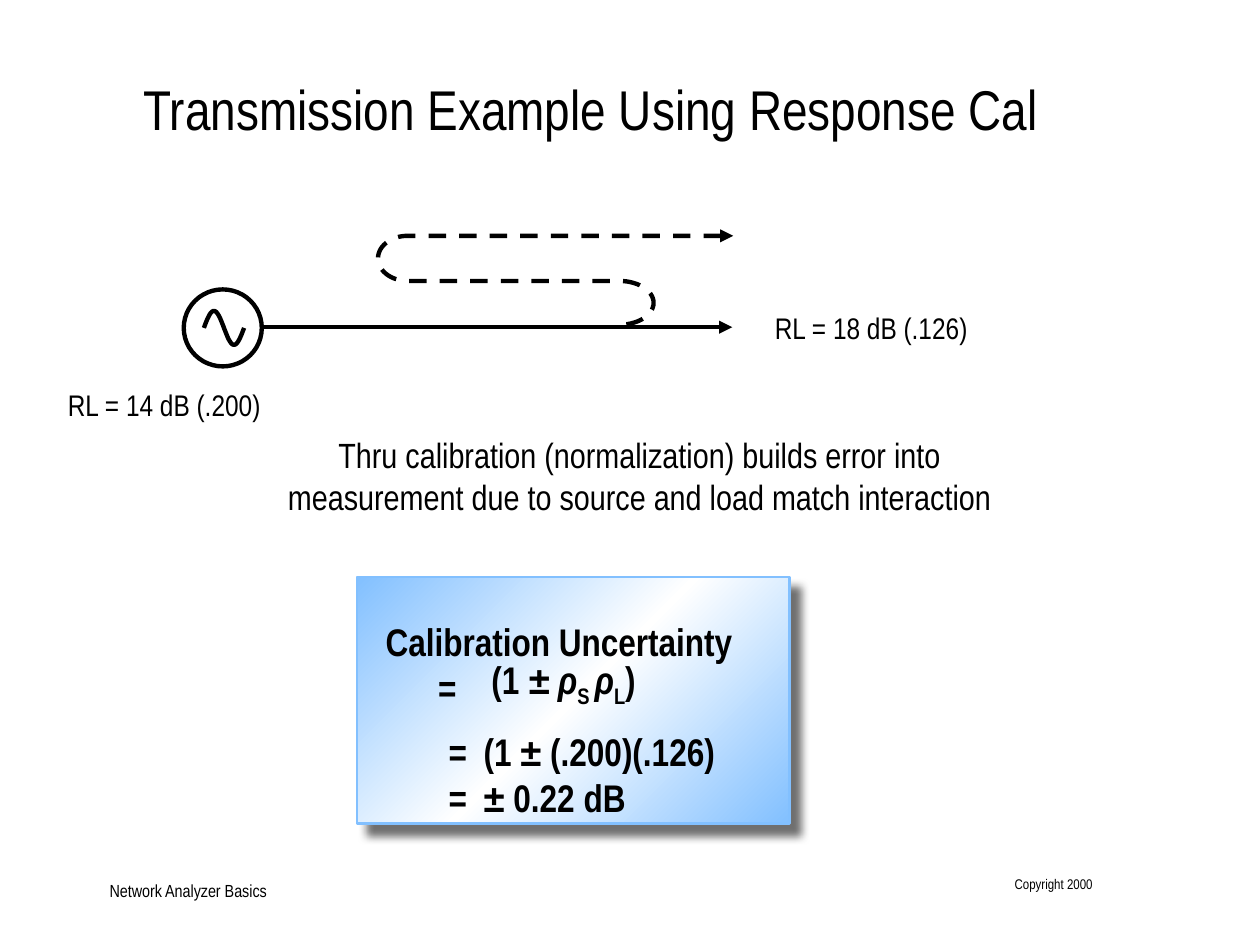
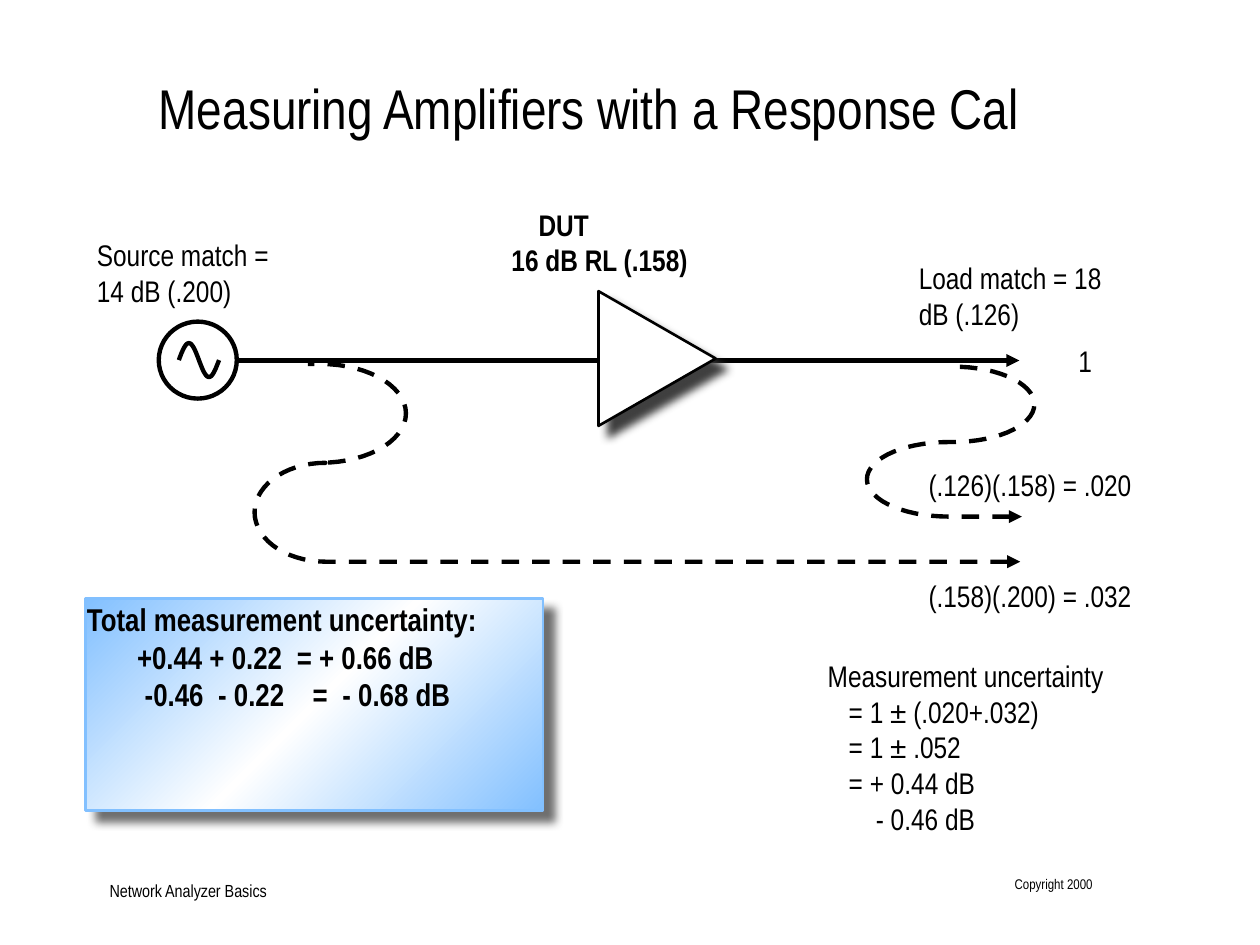
import copy
import math

import pptx
import pptx.util
import pptx.dml.color
import pptx.enum.dml
import pptx.enum.shapes
import pptx.enum.text
import pptx.oxml
import pptx.oxml.ns

Pt = pptx.util.Pt
qn = pptx.oxml.ns.qn
ALIGN = pptx.enum.text.PP_ALIGN
ANCHOR = pptx.enum.text.MSO_ANCHOR
SHAPE = pptx.enum.shapes.MSO_SHAPE

COLORS = {"ink": "000000", "paper": "FFFFFF", "panel": "82C0FF", "shadow": "404040"}
FONT = "Arial Narrow"
LABEL = 17
STROKE = 2.5


def rgb(name):
    return pptx.dml.color.RGBColor.from_string(COLORS[name])


def add_xml(parent, tag, **attrs):
    child = parent.makeelement(qn(tag), {k: str(v) for k, v in attrs.items()})
    parent.append(child)
    return child


# Text
def add_run(p, text, fmt, baseline=0):
    r = p.add_run()
    r.text = text
    for name, value in fmt.items():
        setattr(r.font, name, value)
    r.font.color.rgb = rgb("ink")
    if baseline:
        r._r.get_or_add_rPr().set("baseline", str(baseline * 1000))


def fill_frame(sp, paras, size, bold=False, align=ALIGN.LEFT, anchor=ANCHOR.TOP):
    """Each paragraph is (runs, indent, tab stops); a run is (text, format, baseline)."""
    tf = sp.text_frame
    frame = {"word_wrap": True, "auto_size": pptx.enum.text.MSO_AUTO_SIZE.NONE,
             "vertical_anchor": anchor, "margin_left": 0, "margin_right": 0,
             "margin_top": 0, "margin_bottom": 0}
    for name, value in frame.items():
        setattr(tf, name, value)
    base = {"name": FONT, "size": Pt(size), "bold": bold}
    for i, para in enumerate(paras):
        runs, indent, stops = para if isinstance(para, tuple) else (para, 0, ())
        p = tf.paragraphs[0] if i == 0 else tf.add_paragraph()
        p.alignment = align
        pPr = p._p.get_or_add_pPr()
        if indent:
            pPr.set("marL", str(Pt(indent)))
        if stops:
            tabs = add_xml(pPr, "a:tabLst")
            for stop in stops:
                add_xml(tabs, "a:tab", pos=Pt(stop), algn="l")
        for text, fmt, baseline in [(runs, {}, 0)] if isinstance(runs, str) else runs:
            add_run(p, text, base | fmt, baseline)


def add_text(s, box, paras, size=LABEL, **fmt):
    fill_frame(s.shapes.add_textbox(*map(Pt, box)), paras, size, **fmt)


# Lines, fills and shadows
def style_outline(sp, width, color="ink", arrow=None, dashed=False, shadow_alpha=0):
    sp.line.width = Pt(width)
    sp.line.color.rgb = rgb(color)
    if dashed:
        sp.line.dash_style = pptx.enum.dml.MSO_LINE.DASH
    if arrow:
        add_xml(sp.line._get_or_add_ln(), arrow, type="triangle")
    effects = add_xml(sp._element.spPr, "a:effectLst")
    if shadow_alpha:
        shadow = add_xml(effects, "a:outerShdw", blurRad=Pt(5), dist=Pt(8.5),
                         dir=45 * 60000, algn="ctr", rotWithShape=0)
        clr = add_xml(shadow, "a:srgbClr", val=COLORS["shadow"])
        add_xml(clr, "a:alpha", val=shadow_alpha * 1000)


def fill_solid(sp, color):
    sp.fill.solid()
    sp.fill.fore_color.rgb = rgb(color)


def add_panel(s, box):
    sp = s.shapes.add_shape(SHAPE.RECTANGLE, *map(Pt, box))
    sp.fill.gradient()
    sp.fill.gradient_angle = 315
    first = next(sp._element.spPr.iter(qn("a:gs")))
    middle = copy.deepcopy(first)
    middle.set("pos", "50000")
    first.addnext(middle)
    for stop, color in zip(sp.fill.gradient_stops, ("panel", "paper", "panel")):
        stop.color.rgb = rgb(color)
    style_outline(sp, 1.5, "panel", shadow_alpha=75)


def add_outline(shapes, points, close=False):
    points = [(Pt(x), Pt(y)) for x, y in points]
    fb = shapes.build_freeform(*points[0], scale=1.0)
    fb.add_line_segments(points[1:], close=close)
    sp = fb.convert_to_shape()
    sp.fill.background()
    return sp


# Circuit elements
def add_signal(s, x1, x2, y):
    cn = s.shapes.add_connector(pptx.enum.shapes.MSO_CONNECTOR.STRAIGHT,
                                Pt(x1), Pt(y), Pt(x2), Pt(y))
    style_outline(cn, STROKE, arrow="a:tailEnd")


def add_source(s, left, top):
    shapes = s.shapes.add_group_shape().shapes
    circle = shapes.add_shape(SHAPE.OVAL, Pt(left), Pt(top), Pt(44.6), Pt(44))
    fill_solid(circle, "paper")
    style_outline(circle, STROKE)
    wave = [(left + 11.5 + 23 * i / 40, top + 22 - 9.7 * math.sin(math.tau * i / 40))
            for i in range(41)]
    style_outline(add_outline(shapes, wave), STROKE)


def half_turn(x, y1, y2, bulge, steps=30):
    angles = [math.pi * i / steps for i in range(steps + 1)]
    return [(x + bulge * math.sin(a), (y1 + y2) / 2 + (y1 - y2) / 2 * math.cos(a))
            for a in angles]


def add_reflection(s, tip_x, end_x, levels, turns):
    """Dashed path from the arrow tip back to the signal; a turn is (x, bulge)."""
    points = [(tip_x, levels[0])]
    for (x, bulge), y1, y2 in zip(turns, levels, levels[1:]):
        points += half_turn(x, y1, y2, bulge)
    points.append((end_x, levels[-1]))
    style_outline(add_outline(s.shapes, points), STROKE, arrow="a:headEnd", dashed=True)


def add_amplifier(s, left, top, width, height):
    corners = [(left, top + height), (left + width, top + height / 2), (left, top)]
    sp = add_outline(s.shapes, corners, close=True)
    fill_solid(sp, "paper")
    style_outline(sp, 1.5, shadow_alpha=100)


# Slides
def add_slide(prs, title, left, top):
    s = prs.slides.add_slide(prs.slide_layouts[5])
    sp = s.shapes.title
    for name, value in {"left": left, "top": top, "width": 620, "height": 37}.items():
        setattr(sp, name, Pt(value))
    fill_frame(sp, [title], 32)
    add_text(s, (62.6, 502, 192, 13), ["Network Analyzer Basics"], 10, anchor=ANCHOR.BOTTOM)
    add_text(s, (574, 500.4, 50.5, 18), ["Copyright 2000"], 8, align=ALIGN.RIGHT)
    return s


def build_transmission(prs):
    s = add_slide(prs, "Transmission Example Using Response Cal", 82, 42.5)
    # Source, through signal and double reflection
    add_signal(s, 148.5, 418.5, 187)
    add_source(s, 105, 165.4)
    add_reflection(s, 419, 354, (134.8, 160.6, 185.6), [(233, -17), (354, 19.5)])
    add_text(s, (38.8, 221, 149, 22), ["RL = 14 dB (.200)"])
    add_text(s, (442.8, 177, 149, 22), ["RL = 18 dB (.126)"])
    add_text(s, (146, 247.8, 439, 60),
             ["Thru calibration (normalization) builds error into measurement"
              " due to source and load match interaction"], 20, align=ALIGN.CENTER)
    # Uncertainty panel
    add_panel(s, (204, 329.8, 247, 141))
    result = {"size": 22, "bold": True}
    add_text(s, (220.3, 339, 209, 67), ["Calibration Uncertainty", ("=", 30, ())],
             anchor=ANCHOR.BOTTOM, **result)
    italic = {"italic": True}
    product = [("(1", {}, 0), (" ± ρ", italic, 0), ("S ", {}, -25),
               ("ρ", italic, 0), ("L", {}, -25), (")", {}, 0)]
    add_text(s, (280.8, 372.2, 138, 33), [product], anchor=ANCHOR.BOTTOM, **result)
    add_text(s, (256.3, 416.2, 206, 56),
             [("=\t(1 ± (.200)(.126)", 0, [20]), ("=\t± 0.22 dB", 0, [20])], **result)


def build_amplifier(prs):
    s = add_slide(prs, "Measuring Amplifiers with a Response Cal", 90.7, 41.8)
    # Uncertainty results
    add_panel(s, (49, 342, 261.4, 121))
    add_text(s, (49.7, 342.7, 258.5, 70),
             ["Total measurement uncertainty:",
              ("\t+0.44 + 0.22\t= + 0.66 dB", 0, [28.6, 120]),
              ("\t-0.46\t- 0.22\t=\t- 0.68 dB", 0, [33, 75, 129, 146])], 18, bold=True)
    steps = ["= 1 ± (.020+.032)", "= 1 ± .052", "= + 0.44 dB"]
    add_text(s, (473, 375.8, 212, 105),
             ["Measurement uncertainty", *[(step, 12, ()) for step in steps],
              ("- 0.46 dB", 27.5, ())])
    # Signal path with its two reflections
    add_source(s, 90.7, 183.8)
    add_signal(s, 136.8, 582.5, 206)
    add_reflection(s, 583, 176, (321, 264.5, 208), [(186, -40.5), (183, 49)])
    add_reflection(s, 584, 541.5, (295.2, 252.6, 209.5), [(542, -46.6), (544.5, 46.6)])
    add_amplifier(s, 342, 166.4, 67, 77)
    # Labels
    add_text(s, (292.3, 118, 150, 42.5), [("DUT", 15.5, ()), "16 dB RL (.158)"], bold=True)
    for box, label in [
        ((616.3, 195.8, 11.5, 22), "1"),
        ((530.6, 267, 157, 22), "(.126)(.158) = .020"),
        ((530.6, 330, 157, 22), "(.158)(.200) = .032"),
        ((55.4, 135.3, 111, 42.5), "Source match = 14 dB (.200)"),
        ((525, 148.5, 120, 42.5), "Load match = 18 dB (.126)"),
    ]:
        add_text(s, box, [label])


def main():
    prs = pptx.Presentation()
    prs.slide_width, prs.slide_height = Pt(720), Pt(540)
    build_transmission(prs)
    build_amplifier(prs)
    prs.save("out.pptx")


if __name__ == "__main__":
    main()
